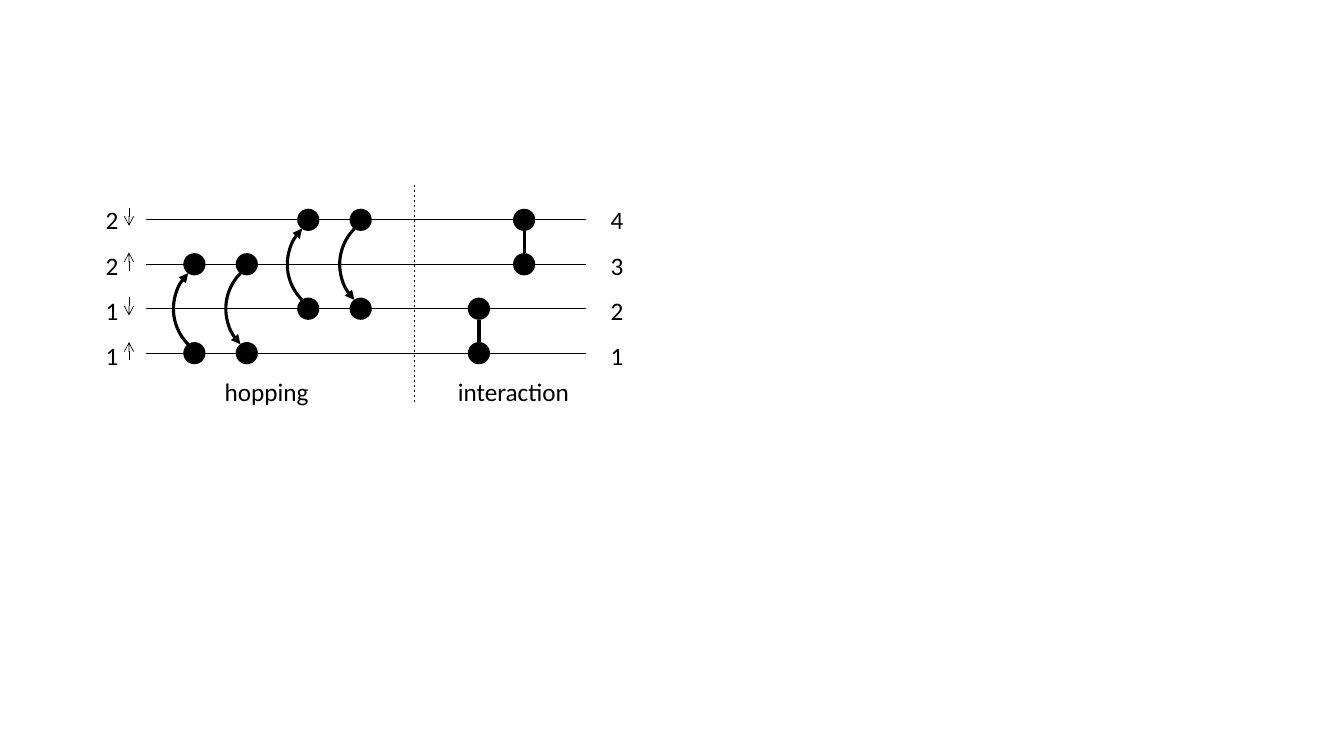
import pptx
import pptx.dml.color
import pptx.enum.dml
import pptx.enum.shapes
import pptx.enum.text
import pptx.oxml.ns
import pptx.util
from lxml import etree

Cm, Pt = pptx.util.Cm, pptx.util.Pt
SHAPES = pptx.enum.shapes.MSO_SHAPE
COLORS = {"ink": "000000"}
INK = pptx.dml.color.RGBColor.from_string(COLORS["ink"])
FONT = "Calibri"

# Shared rows, in cm below the top of a region
FIRST_ROW, ROW_GAP = 0.89, 1.12
DOT_RADIUS = 0.28
ARC_SIZE, ARC_INSET = 2.54, 0.53


def row_y(top, row):
    return top + FIRST_ROW + row * ROW_GAP


def style_line(line, weight, ends=()):
    line.color.rgb = INK
    line.width = Pt(weight)
    outline = line._get_or_add_ln()
    for end, arrow in ends:
        etree.SubElement(outline, pptx.oxml.ns.qn(f"a:{end}"), type=arrow)


def add_line(slide, start, finish, weight=0.5, ends=(), dash=None):
    connector = slide.shapes.add_connector(
        pptx.enum.shapes.MSO_CONNECTOR.STRAIGHT,
        *(Cm(value) for value in (*start, *finish)))
    if dash:
        connector.line.dash_style = dash
    style_line(connector.line, weight, ends)
    etree.SubElement(connector._element.spPr, pptx.oxml.ns.qn("a:effectLst"))


def add_text(slide, box, text, align=None, spacing=None):
    label = slide.shapes.add_textbox(*(Cm(value) for value in box))
    frame = label.text_frame
    frame.word_wrap = True
    frame.auto_size = pptx.enum.text.MSO_AUTO_SIZE.SHAPE_TO_FIT_TEXT
    frame.text = text
    for paragraph in frame.paragraphs:
        paragraph.alignment = align
        paragraph.line_spacing = spacing
        for run in paragraph.runs:
            run.font.name = FONT
            run.font.size = Pt(18)
            run.font.color.rgb = INK


def add_dot(slide, x, y):
    dot = slide.shapes.add_shape(
        SHAPES.OVAL, Cm(x - DOT_RADIUS), Cm(y - DOT_RADIUS),
        Cm(2 * DOT_RADIUS), Cm(2 * DOT_RADIUS))
    dot.shadow.inherit = False
    dot.fill.solid()
    dot.fill.fore_color.rgb = INK
    dot.line.fill.background()


def add_hop(slide, x, y, end):
    arc = slide.shapes.add_shape(
        SHAPES.ARC, Cm(x - ARC_INSET), Cm(y - ARC_SIZE / 2),
        Cm(ARC_SIZE), Cm(ARC_SIZE))
    arc.rotation = 225.1
    arc.shadow.inherit = False
    arc.fill.background()
    style_line(arc.line, 2.25, [(end, "triangle")])


def add_caption(slide, box, text):
    left, top, width, _ = box
    caption_width = 3.89
    add_text(slide, (left + (width - caption_width) / 2, top + 4.7, caption_width, 1.02),
             text, align=pptx.enum.text.PP_ALIGN.CENTER)


def draw_register(slide, box):
    left, top, width, height = box
    # Wires
    for row in range(4):
        y = row_y(top, row)
        add_line(slide, (left + 1.27, y), (left + 12.37, y))
    # Orbital numbers on the left, qubit numbers on the right
    label_width = 1.52
    for x, numbers in ((left + width - label_width, "4321"), (left, "2211")):
        add_text(slide, (x, top, label_width, 4.75), "\n".join(numbers), spacing=1.5)
    # Spin arrows, alternating down and up
    for row in range(4):
        x, y = left + 0.84, top + 0.81 + row * 1.13
        half = 0.23 if row % 2 == 0 else -0.23
        add_line(slide, (x, y - half), (x, y + half), ends=[("tailEnd", "arrow")])
    # Divider
    add_line(slide, (left + 8.03, top), (left + 8.03, top + height),
             dash=pptx.enum.dml.MSO_LINE.DASH)


def draw_hopping(slide, box):
    left, top, _, _ = box
    hops = [(1.22, 1, "tailEnd"), (2.54, 1, "headEnd"),
            (4.09, 0, "tailEnd"), (5.41, 0, "headEnd")]
    for offset, upper_row, arrow_end in hops:
        for row in (upper_row + 2, upper_row):
            add_dot(slide, left + offset, row_y(top, row))
        add_hop(slide, left + offset, row_y(top, upper_row + 1), arrow_end)
    add_caption(slide, box, "hopping")


def draw_interaction(slide, box):
    left, top, _, _ = box
    for offset, upper_row in ((0.97, 2), (2.11, 0)):
        x = left + offset
        upper, lower = row_y(top, upper_row), row_y(top, upper_row + 1)
        add_dot(slide, x, lower)
        add_dot(slide, x, upper)
        add_line(slide, (x, upper + DOT_RADIUS), (x, lower - DOT_RADIUS), weight=2.25)
    add_caption(slide, box, "interaction")


presentation = pptx.Presentation()
presentation.slide_width = Cm(33.87)
presentation.slide_height = Cm(19.05)
diagram = presentation.slides.add_slide(presentation.slide_layouts[6])

# Regions as left, top, width, height in cm
draw_register(diagram, (2.41, 4.65, 14.25, 5.54))
draw_hopping(diagram, (3.68, 4.65, 6.08, 5.54))
draw_interaction(diagram, (11.1, 4.65, 3.68, 5.54))

presentation.save("out.pptx")
